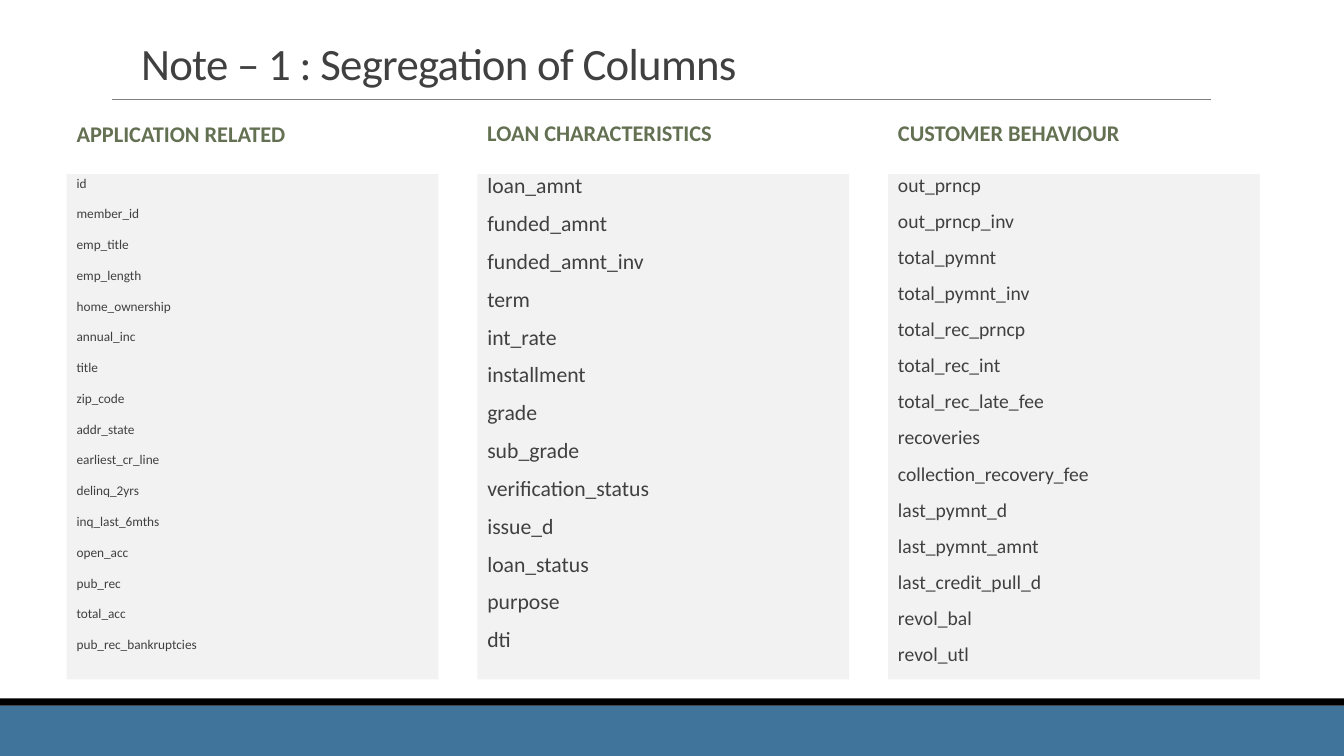
"""Build a slide that sorts loan data columns into three groups."""
from dataclasses import dataclass

from lxml import etree
from pptx import Presentation
from pptx.dml.color import RGBColor
from pptx.enum.shapes import MSO_CONNECTOR, MSO_SHAPE
from pptx.enum.text import MSO_ANCHOR, MSO_AUTO_SIZE, PP_ALIGN
from pptx.oxml.ns import qn
from pptx.util import Cm, Pt

STRAIGHT = MSO_CONNECTOR.STRAIGHT
RECTANGLE = MSO_SHAPE.RECTANGLE
TOP, MIDDLE, BOTTOM = MSO_ANCHOR.TOP, MSO_ANCHOR.MIDDLE, MSO_ANCHOR.BOTTOM
NO_AUTOFIT = MSO_AUTO_SIZE.NONE
LEFT_ALIGNED = PP_ALIGN.LEFT

COMPARISON_LAYOUT = 4
FONT = "Calibri"
INK, HEADING_GREEN, PANEL_GREY = "404040", "637052", "F2F2F2"
SLIDE_WIDTH, SLIDE_HEIGHT = 33.87, 19.05
GROUP_LEFT, GROUP_PITCH, GROUP_WIDTH = 1.68, 10.35, 9.37
PANEL_TOP, PANEL_HEIGHT, HEADING_HEIGHT = 4.39, 12.73, 1.19
LIST_INDENT = 0.25


@dataclass(frozen=True)
class Group:
    """A headed list of column names and the placeholder that holds it."""
    heading: str
    heading_top: float
    placeholder: int
    size: float
    columns: str


@dataclass(frozen=True)
class Band:
    """A full-width strip at the foot of the slide."""
    top: float
    height: float
    colour: str


GROUPS = (
    Group("APPLICATION RELATED", 2.82, 1, 9.5,
          "id member_id emp_title emp_length home_ownership annual_inc title zip_code "
          "addr_state earliest_cr_line delinq_2yrs inq_last_6mths open_acc pub_rec "
          "total_acc pub_rec_bankruptcies"),
    Group("LOAN CHARACTERISTICS", 2.79, 2, 15.5,
          "loan_amnt funded_amnt funded_amnt_inv term int_rate installment grade "
          "sub_grade verification_status issue_d loan_status purpose dti"),
    Group("CUSTOMER BEHAVIOUR", 2.79, 4, 14,
          "out_prncp out_prncp_inv total_pymnt total_pymnt_inv total_rec_prncp "
          "total_rec_int total_rec_late_fee recoveries collection_recovery_fee "
          "last_pymnt_d last_pymnt_amnt last_credit_pull_d revol_bal revol_utl"),
)
BANDS = (Band(17.78, 1.27, "40749B"), Band(17.6, 0.18, "000000"))
UNUSED_PLACEHOLDER = 3


def rgb(colour: str) -> RGBColor:
    """Turn a hex string into a colour."""
    return RGBColor.from_string(colour)


def place(shape, left: float, top: float, width: float, height: float) -> None:
    """Move and size a shape, in centimetres."""
    shape.left, shape.top = Cm(left), Cm(top)
    shape.width, shape.height = Cm(width), Cm(height)


def prepare_frame(shape, anchor):
    """Give a shape wrapped, unscaled text and return its text frame."""
    frame = shape.text_frame
    frame.word_wrap = True
    frame.auto_size = NO_AUTOFIT
    frame.vertical_anchor = anchor
    return frame


def write(paragraph, text: str, size: float, colour: str, line_spacing: float,
          before: float = 12, after: float = 2, bold: bool = False):
    """Add one formatted run to a paragraph and return the run."""
    paragraph.alignment = LEFT_ALIGNED
    paragraph.line_spacing = line_spacing
    paragraph.space_before, paragraph.space_after = Pt(before), Pt(after)
    run = paragraph.add_run()
    run.text = text
    run.font.name, run.font.size, run.font.bold = FONT, Pt(size), bold
    run.font.color.rgb = rgb(colour)
    return run


def draw_band(slide, band: Band) -> None:
    """Draw a footer strip."""
    strip = slide.shapes.add_shape(
        RECTANGLE, 0, Cm(band.top), Cm(SLIDE_WIDTH), Cm(band.height))
    strip.shadow.inherit = False
    strip.fill.solid()
    strip.fill.fore_color.rgb = rgb(band.colour)
    strip.line.fill.background()


def draw_title(slide, text: str) -> None:
    """Fill the title and draw the rule below it."""
    title = slide.shapes.title
    place(title, 3.3, 0.79, 25.53, 1.6)
    frame = prepare_frame(title, BOTTOM)
    run = write(frame.paragraphs[0], text, 32, INK, 0.85, before=0, after=0)
    run.font._element.set("spc", "-50")
    rule = slide.shapes.add_connector(STRAIGHT, Cm(2.82), Cm(2.51), Cm(30.51), Cm(2.51))
    rule.line.color.rgb = rgb("808080")
    rule.line.width = Pt(0.5)
    etree.SubElement(rule._element.spPr, qn("a:effectLst"))


def draw_group(slide, group: Group, left: float) -> None:
    """Draw a heading and its panel of column names."""
    heading = slide.shapes.add_textbox(
        Cm(left), Cm(group.heading_top), Cm(GROUP_WIDTH), Cm(HEADING_HEIGHT))
    frame = prepare_frame(heading, MIDDLE)
    write(frame.paragraphs[0], group.heading, 16, HEADING_GREEN, 0.9, bold=True)

    panel = slide.placeholders[group.placeholder]
    place(panel, left, PANEL_TOP, GROUP_WIDTH, PANEL_HEIGHT)
    panel.fill.solid()
    panel.fill.fore_color.rgb = rgb(PANEL_GREY)
    frame = prepare_frame(panel, TOP)
    frame.margin_left = frame.margin_right = 0
    for row, column in enumerate(group.columns.split()):
        paragraph = frame.add_paragraph() if row else frame.paragraphs[0]
        write(paragraph, column, group.size, INK, 0.7)
        properties = paragraph._p.get_or_add_pPr()
        properties.set("marL", str(Cm(LIST_INDENT)))
        properties.set("indent", "0")
        etree.SubElement(properties, qn("a:buNone"))


def main() -> None:
    """Build and save the slide."""
    presentation = Presentation()
    presentation.slide_width = Cm(SLIDE_WIDTH)
    presentation.slide_height = Cm(SLIDE_HEIGHT)
    slide = presentation.slides.add_slide(presentation.slide_layouts[COMPARISON_LAYOUT])
    unused = slide.placeholders[UNUSED_PLACEHOLDER]._element
    unused.getparent().remove(unused)
    for band in BANDS:
        draw_band(slide, band)
    draw_title(slide, "Note – 1 : Segregation of Columns")
    for position, group in enumerate(GROUPS):
        draw_group(slide, group, GROUP_LEFT + position * GROUP_PITCH)
    presentation.save("out.pptx")


if __name__ == "__main__":
    main()
